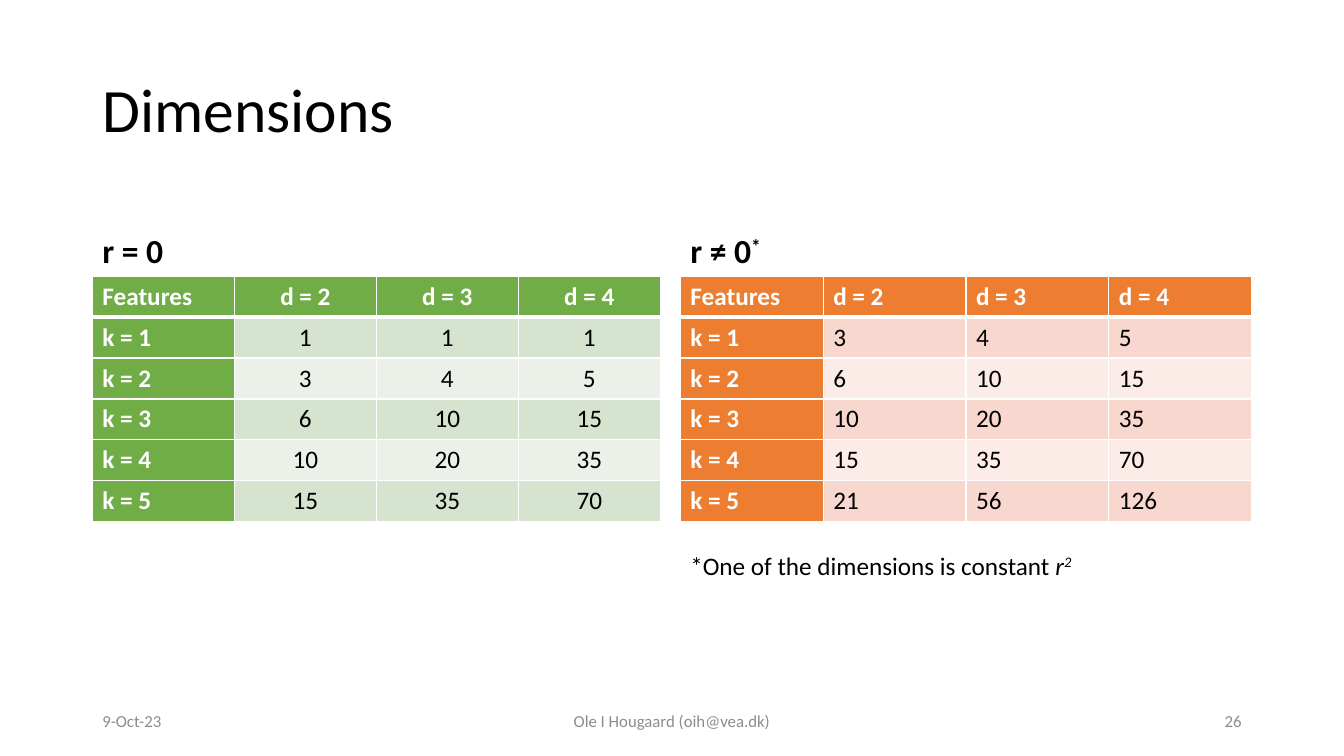
from lxml.etree import SubElement
from pptx import Presentation
from pptx.dml.color import RGBColor
from pptx.enum.text import MSO_ANCHOR, MSO_AUTO_SIZE, PP_ALIGN
from pptx.oxml.ns import qn
from pptx.util import Pt

PX = 9525
FONT = "Calibri"
BLACK = RGBColor(0x00, 0x00, 0x00)
WHITE = RGBColor(0xFF, 0xFF, 0xFF)
GRAY = RGBColor(0x8C, 0x8C, 0x8C)
GREEN = RGBColor(0x70, 0xAD, 0x47)
GREEN_BANDS = (RGBColor(0xD5, 0xE3, 0xCF), RGBColor(0xEB, 0xF1, 0xE9))
ORANGE = RGBColor(0xED, 0x7D, 0x31)
ORANGE_BANDS = (RGBColor(0xF8, 0xD7, 0xCE), RGBColor(0xFC, 0xEC, 0xE8))

HEADER = ("Features", "d = 2", "d = 3", "d = 4")
ZERO_R = ((1, 1, 1), (3, 4, 5), (6, 10, 15), (10, 20, 35), (15, 35, 70))
NONZERO_R = ((3, 4, 5), (6, 10, 15), (10, 20, 35), (15, 35, 70), (21, 56, 126))
HEADING_HEIGHT = 86
ROW_HEIGHT = 39


def scaled(box):
    return [length * PX for length in box]


def style(run, size, color, bold=False):
    run.font.name = FONT
    run.font.size = Pt(size)
    run.font.color.rgb = color
    run.font.bold = bold


def raise_run(run):
    run.font._element.set("baseline", "30000")


def add_text(slide, box, pieces, size, color, bold=False,
             align=PP_ALIGN.LEFT, anchor=MSO_ANCHOR.MIDDLE):
    frame = slide.shapes.add_textbox(*scaled(box)).text_frame
    frame.word_wrap = True
    frame.vertical_anchor = anchor
    paragraph = frame.paragraphs[0]
    paragraph.alignment = align
    for piece in pieces:
        run = paragraph.add_run()
        run.text = piece
        style(run, size, color, bold)
    return frame


def add_title(slide, box):
    title = slide.shapes.title
    title.left, title.top, title.width, title.height = scaled(box)
    frame = title.text_frame
    frame.text = "Dimensions"
    frame.vertical_anchor = MSO_ANCHOR.MIDDLE
    paragraph = frame.paragraphs[0]
    paragraph.alignment = PP_ALIGN.LEFT
    paragraph.line_spacing = 0.9
    style(paragraph.runs[0], 44, BLACK)


def add_borders(cell, row):
    properties = cell._tc.get_or_add_tcPr()
    points = {"L": 1, "R": 1, "T": 3 if row == 1 else 1, "B": 3 if row == 0 else 1}
    for side, width in points.items():
        line = SubElement(properties, qn(f"a:ln{side}"), w=str(Pt(width)))
        fill = SubElement(line, qn("a:solidFill"))
        SubElement(fill, qn("a:srgbClr"), val=str(WHITE))


def add_dimension_table(slide, box, values, accent, bands, align):
    rows = [HEADER] + [(f"k = {k}", *counts) for k, counts in enumerate(values, 1)]
    frame = slide.shapes.add_table(len(rows), len(HEADER), *scaled(box))
    table = frame.table
    for column in table.columns:
        column.width = box[2] * PX // len(HEADER)
    for r, texts in enumerate(rows):
        table.rows[r].height = ROW_HEIGHT * PX
        for c, text in enumerate(texts):
            cell = table.cell(r, c)
            is_label = r == 0 or c == 0
            add_borders(cell, r)
            cell.fill.solid()
            cell.fill.fore_color.rgb = accent if is_label else bands[(r - 1) % 2]
            paragraph = cell.text_frame.paragraphs[0]
            paragraph.text = str(text)
            paragraph.alignment = align if c else PP_ALIGN.LEFT
            style(paragraph.runs[0], 18, WHITE if is_label else BLACK, is_label)


def add_case(slide, box, heading, values, accent, bands, align):
    left, top, width, height = box
    frame = add_text(slide, (left, top, width, HEADING_HEIGHT), heading,
                     24, BLACK, True, anchor=MSO_ANCHOR.BOTTOM)
    paragraph = frame.paragraphs[0]
    paragraph.line_spacing = 0.9
    paragraph.space_before = Pt(10)
    for mark in paragraph.runs[1:]:
        raise_run(mark)
    table_box = (left, top + HEADING_HEIGHT, width, height - HEADING_HEIGHT)
    add_dimension_table(slide, table_box, values, accent, bands, align)


def add_footnote(slide, box):
    pieces = ("*One of the dimensions is constant ", "r", "2")
    frame = add_text(slide, box, pieces, 18, BLACK, anchor=MSO_ANCHOR.TOP)
    frame.word_wrap = False
    frame.auto_size = MSO_AUTO_SIZE.SHAPE_TO_FIT_TEXT
    variable, exponent = frame.paragraphs[0].runs[1:]
    variable.font.italic = exponent.font.italic = True
    raise_run(exponent)


def add_footer(slide, box):
    left, top, width, height = box
    side, middle = 288, 432
    parts = (
        ("9-Oct-23", left, side, PP_ALIGN.LEFT),
        ("Ole I Hougaard (oih@vea.dk)", left + (width - middle) // 2, middle,
         PP_ALIGN.CENTER),
        ("26", left + width - side, side, PP_ALIGN.RIGHT),
    )
    for text, x, part_width, align in parts:
        add_text(slide, (x, top, part_width, height), [text], 12, GRAY, align=align)


def main():
    deck = Presentation()
    deck.slide_width, deck.slide_height = scaled((1280, 720))
    slide = deck.slides.add_slide(deck.slide_layouts[5])
    add_title(slide, (88, 38, 1104, 139))
    add_case(slide, (88, 177, 541, 320), ["r = 0"], ZERO_R,
             GREEN, GREEN_BANDS, PP_ALIGN.CENTER)
    add_case(slide, (648, 177, 544, 320), ["r ≠ 0", "*"], NONZERO_R,
             ORANGE, ORANGE_BANDS, PP_ALIGN.LEFT)
    add_footnote(slide, (648, 519, 392, 38))
    add_footer(slide, (88, 667, 1104, 38))
    deck.save("out.pptx")


if __name__ == "__main__":
    main()
